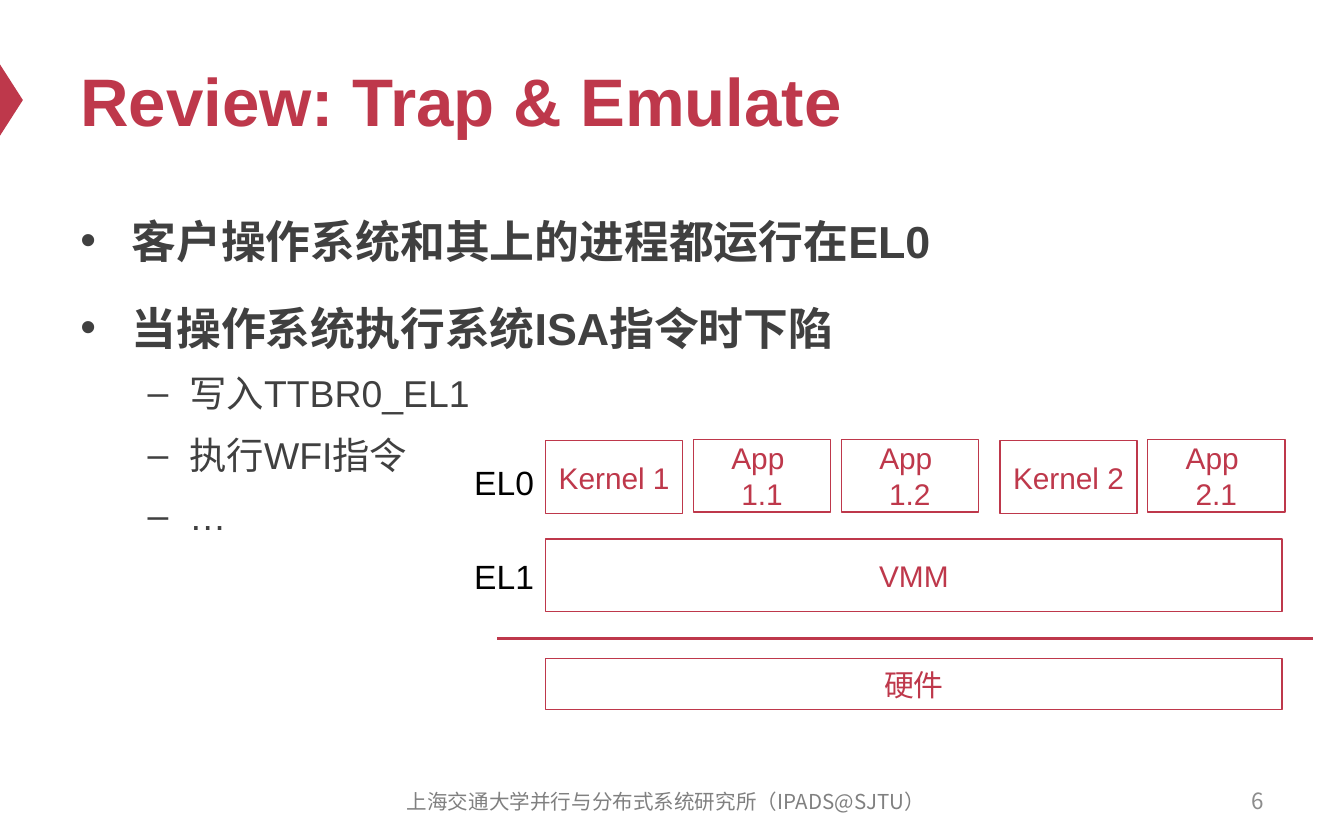
from lxml import etree
from pptx import Presentation
from pptx import util as u
from pptx.dml.color import RGBColor
from pptx.enum import shapes, text
from pptx.oxml.ns import qn

ACCENT, BODY, WHITE = "BE384B", "404040", "FFFFFF"
LATIN, CJK = "Arial", "Noto Sans CJK SC"
LEFT, CENTER, RIGHT = text.PP_ALIGN.LEFT, text.PP_ALIGN.CENTER, text.PP_ALIGN.RIGHT
TOP, MIDDLE = text.MSO_ANCHOR.TOP, text.MSO_ANCHOR.MIDDLE


def color(target, hex_value):
    target.rgb = RGBColor.from_string(hex_value)


def inches(*lengths):
    return [u.Inches(length) for length in lengths]


class Deck:
    """Holds the style and the current slide."""

    def __init__(self, width, height):
        self.prs = Presentation()
        self.prs.slide_width, self.prs.slide_height = inches(width, height)
        self.slide = self.prs.slides.add_slide(self.prs.slide_layouts[6])

    def run(self, paragraph, words, size, hue, bold=False, font=LATIN):
        run = paragraph.add_run()
        run.text = words
        run.font.name, run.font.size, run.font.bold = font, u.Pt(size), bold
        color(run.font.color, hue)
        east_asian = etree.SubElement(run.font._element, qn("a:ea"))
        east_asian.set("typeface", CJK)

    def label(self, place, words, size, hue, align=LEFT, anchor=MIDDLE,
              wrap=True, **style):
        frame = self.slide.shapes.add_textbox(*inches(*place)).text_frame
        frame.word_wrap, frame.vertical_anchor = wrap, anchor
        frame.paragraphs[0].alignment = align
        self.run(frame.paragraphs[0], words, size, hue, **style)

    def bullets(self, place, items):
        """Adds a list of (level, words) items."""
        frame = self.slide.shapes.add_textbox(*inches(*place)).text_frame
        frame.word_wrap = True
        for index, (level, words) in enumerate(items):
            paragraph = frame.add_paragraph() if index else frame.paragraphs[0]
            indent, hang, mark, before, size = [
                (0.38, 0.38, "•", 12, 24), (0.81, 0.31, "–", 4, 20)][level]
            paragraph.level = level
            paragraph.line_spacing = 1.2
            paragraph.space_before = u.Pt(before if index else 0)
            props = paragraph._p.get_or_add_pPr()
            props.set("marL", str(u.Inches(indent)))
            props.set("indent", str(-u.Inches(hang)))
            etree.SubElement(props, qn("a:buFont")).set("typeface", LATIN)
            etree.SubElement(props, qn("a:buChar")).set("char", mark)
            self.run(paragraph, words, size, BODY, bold=level == 0)

    def box(self, place, *lines):
        box = self.slide.shapes.add_shape(shapes.MSO_SHAPE.RECTANGLE, *inches(*place))
        box.shadow.inherit = False
        box.fill.solid()
        color(box.fill.fore_color, WHITE)
        color(box.line.color, ACCENT)
        box.line.width = u.Pt(0.75)
        frame = box.text_frame
        frame.word_wrap, frame.vertical_anchor = True, MIDDLE
        frame.margin_left = frame.margin_right = u.Inches(0.05)
        for index, words in enumerate(lines):
            paragraph = frame.add_paragraph() if index else frame.paragraphs[0]
            paragraph.alignment = CENTER
            self.run(paragraph, words, 16, ACCENT)

    def marker(self, place):
        """Adds the triangle that points at the title."""
        marker = self.slide.shapes.add_shape(
            shapes.MSO_SHAPE.ISOSCELES_TRIANGLE, *inches(*place))
        marker.rotation = 90
        marker.shadow.inherit = False
        marker.fill.solid()
        color(marker.fill.fore_color, ACCENT)
        marker.line.fill.background()

    def divider(self, left, right, y):
        line = self.slide.shapes.add_connector(
            shapes.MSO_CONNECTOR.STRAIGHT, *inches(left, y, right, y))
        color(line.line.color, ACCENT)
        line.line.width = u.Pt(2)
        etree.SubElement(line._element.spPr, qn("a:effectLst"))


def main():
    deck = Deck(10, 6.25)
    deck.marker((-0.18, 0.66, 0.53, 0.17))
    deck.label((0.5, 0.25, 9, 0.98), "Review: Trap & Emulate", 36, ACCENT, bold=True)
    deck.bullets((0.5, 1.46, 9, 4.12), [
        (0, "客户操作系统和其上的进程都运行在EL0"),
        (0, "当操作系统执行系统ISA指令时下陷"),
        (1, "写入TTBR0_EL1"),
        (1, "执行WFI指令"),
        (1, "…"),
    ])
    deck.label((7.17, 5.79, 2.33, 0.33), "6", 12, "8C8C8C", RIGHT, font=CJK)
    deck.label((2.79, 5.8, 4.33, 0.33), "上海交通大学并行与分布式系统研究所（IPADS@SJTU）",
               11, "808080", CENTER, font=CJK)

    stack_left, stack_width, row_height = 4.06, 5.48, 0.54
    deck.box((stack_left, 4.01, stack_width, row_height), "VMM")
    deck.box((stack_left, 4.9, stack_width, 0.38), "硬件")
    deck.divider(3.7, 9.77, 4.75)
    for level, top in (("EL0", 3.39), ("EL1", 4.09)):
        deck.label((3.43, top, 0.65, 0.4), level, 18, "000000", anchor=TOP, wrap=False)

    guest_width, pitch = 1.02, 1.1
    guests = [(stack_left, "Kernel 1", ["1.1", "1.2"]), (7.44, "Kernel 2", ["2.1"])]
    for left, kernel, apps in guests:
        deck.box((left, 3.28, guest_width, row_height), kernel)
        for step, app in enumerate(apps, 1):
            deck.box((left + step * pitch, 3.27, guest_width, row_height), "App ", app)

    deck.prs.save("out.pptx")


if __name__ == "__main__":
    main()
